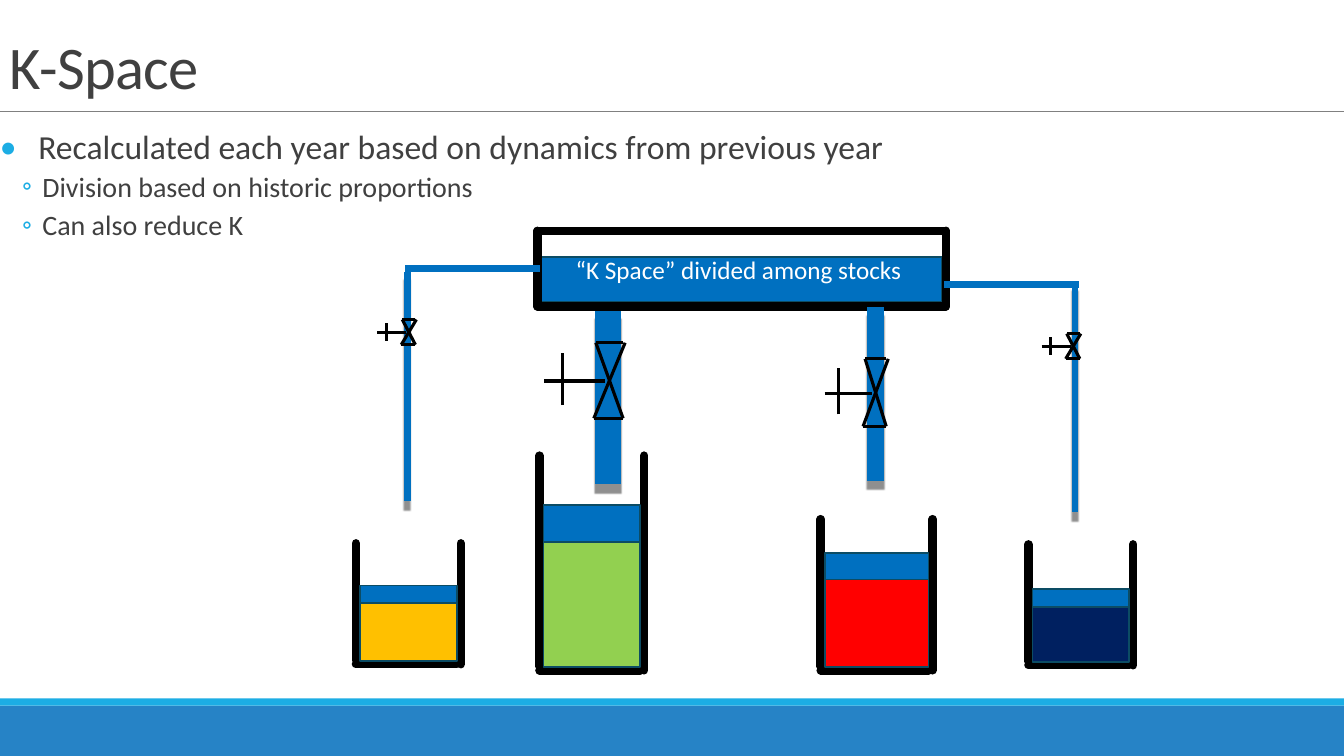
from lxml import etree
from pptx import Presentation
from pptx import util as u
from pptx.dml.color import RGBColor
from pptx.enum import shapes, text
from pptx.oxml.ns import qn

PX = 9144
FONT = "Calibri"
BLACK = "000000"
WATER = "0070C0"
EDGE = "0C4C64"
ACCENT = "1CADE4"
GREY = "404040"


def color(value):
    return RGBColor.from_string(value)


def px(value):
    return u.Emu(round(value) * PX)


def add_xml(parent, tag, **attributes):
    return etree.SubElement(parent, qn(tag), attributes)


class Board:
    def __init__(self, presentation):
        self.slide = presentation.slides.add_slide(presentation.slide_layouts[6])

    def shape(self, kind, left, top, width, height, fill, edge=None):
        shape = self.slide.shapes.add_shape(kind, px(left), px(top), px(width), px(height))
        shape.shadow.inherit = False
        shape.fill.solid()
        shape.fill.fore_color.rgb = color(fill)
        if edge:
            shape.line.color.rgb = color(edge)
            shape.line.width = u.Pt(1.25)
        else:
            shape.line.fill.background()
        return shape

    def rect(self, *box, fill, edge=None):
        return self.shape(shapes.MSO_SHAPE.RECTANGLE, *box, fill, edge)

    def pipe(self, *box, vertical=False):
        shape = self.shape(shapes.MSO_SHAPE.MATH_MINUS, *box, WATER)
        if vertical:
            shape.rotation = 90
            effects = shape._element.spPr.find(qn("a:effectLst"))
            shadow = add_xml(effects, "a:outerShdw", blurRad="12700", dist="76200",
                             dir="5400000", rotWithShape="0")
            shade = add_xml(shadow, "a:srgbClr", val=BLACK)
            add_xml(shade, "a:alpha", val="43000")

    def line(self, x1, y1, x2, y2, width, stroke=BLACK, cap="flat"):
        connector = self.slide.shapes.add_connector(
            shapes.MSO_CONNECTOR.STRAIGHT, px(x1), px(y1), px(x2), px(y2))
        connector.line.color.rgb = color(stroke)
        connector.line.width = u.Pt(width)
        connector.line._get_or_add_ln().set("cap", cap)
        add_xml(connector._element.spPr, "a:effectLst")

    def wall(self, *ends):
        self.line(*ends, 6, cap="rnd")

    def text_box(self, left, top, width, height, anchor=text.MSO_ANCHOR.TOP, side=10):
        box = self.slide.shapes.add_textbox(px(left), px(top), px(width), px(height))
        frame = box.text_frame
        frame.word_wrap = True
        frame.vertical_anchor = anchor
        frame.margin_left = frame.margin_right = px(side)
        frame.margin_top = frame.margin_bottom = px(5)
        return frame

    def words(self, paragraph, content, size, ink):
        paragraph.add_run().text = content
        paragraph.font.name = FONT
        paragraph.font.size = u.Pt(size)
        paragraph.font.color.rgb = color(ink)

    def bullet(self, paragraph, content, size, mark, margin, hanging, before, after):
        paragraph.line_spacing = 0.9
        paragraph.space_before = u.Pt(before)
        paragraph.space_after = u.Pt(after)
        properties = paragraph._p.get_or_add_pPr()
        properties.set("marL", str(px(margin)))
        properties.set("indent", str(px(-hanging)))
        add_xml(add_xml(properties, "a:buClr"), "a:srgbClr", val=ACCENT)
        add_xml(properties, "a:buFont", typeface=FONT)
        add_xml(properties, "a:buChar", char=mark)
        self.words(paragraph, content, size, GREY)

    def valve(self, left, top, width, height):
        stem, hub, low, high, right = (
            left + width * part for part in (0.23, 0.75, 0.61, 0.64, 0.975))
        middle = top + height * 0.51
        bottom = top + height
        for ends in (
            (left, middle, hub, middle),
            (stem, top + height * 0.82, stem, top + height * 0.14),
            (right, bottom, low, bottom),
            (low, bottom, left + width, top),
            (right, bottom, high, top),
            (right, top, high, top),
        ):
            self.line(*ends, 2.25)

    def tank(self, left, right, top, bottom, stock_top, water_top, water_height, fill):
        self.wall(left, top, left, bottom - 4)
        self.wall(right, top, right, bottom)
        self.wall(right - 4, bottom, left, bottom)
        inside, width = left + 4, right - left - 8
        self.rect(inside, stock_top, width, bottom - 3 - stock_top, fill=fill, edge=EDGE)
        self.rect(inside, water_top, width, water_height, fill=WATER, edge=EDGE)

    def reservoir(self, left, top, right, bottom):
        for x in (left, right):
            self.wall(x, top, x, bottom)
        for y in (top, bottom):
            self.wall(left, y, right, y)


def main():
    presentation = Presentation()
    presentation.slide_width = px(1333)
    presentation.slide_height = px(750)
    board = Board(presentation)

    board.rect(0, 700, 1333, 50, fill="2683C6")
    board.rect(0, 693, 1333, 7, fill=ACCENT)
    board.line(0, 110, 1333, 110, 0.5, "808080")

    title = board.text_box(0, 31, 1333, 75, text.MSO_ANCHOR.BOTTOM).paragraphs[0]
    title.line_spacing = 0.85
    board.words(title, "K-Space", 43.2, GREY)
    title.runs[0]._r.get_or_add_rPr().set("spc", "-50")

    body = board.text_box(0, 125, 1333, 570, side=0)
    board.bullet(body.paragraphs[0],
                 "Recalculated each year based on dynamics from previous year",
                 24, "•", 38, 38, 0, 2)
    for content in ("Division based on historic proportions", "Can also reduce K"):
        board.bullet(body.add_paragraph(), content, 20, "◦", 42, 20, 2, 4)

    board.rect(535, 255, 399, 45, fill=WATER, edge=EDGE)
    board.pipe(486, 339, 234, 111, vertical=True)
    board.reservoir(533, 229, 938, 304)
    label = board.text_box(539, 247, 387, 40).paragraphs[0]
    label.alignment = text.PP_ALIGN.CENTER
    board.words(label, "“K Space” divided among stocks", 18, "FFFFFF")

    for left, top in ((378, 251), (912, 267)):
        board.pipe(left, top, 182, 30)
    for box in ((249, 370, 310, 27), (751, 355, 234, 72), (911, 381, 310, 27)):
        board.pipe(*box, vertical=True)

    for box in ((374, 317, 39, 25), (540, 340, 80, 75),
                (818, 356, 63, 67), (1033, 331, 39, 25)):
        board.valve(*box)

    for tank in (
        (353, 457, 539, 659, 597, 581, 17, "FFC000"),
        (535, 639, 452, 665, 538, 501, 37, "92D050"),
        (814, 925, 515, 665, 575, 549, 26, "FF0000"),
        (1020, 1124, 540, 660, 599, 584, 18, "002060"),
    ):
        board.tank(*tank)

    presentation.save("out.pptx")


if __name__ == "__main__":
    main()
